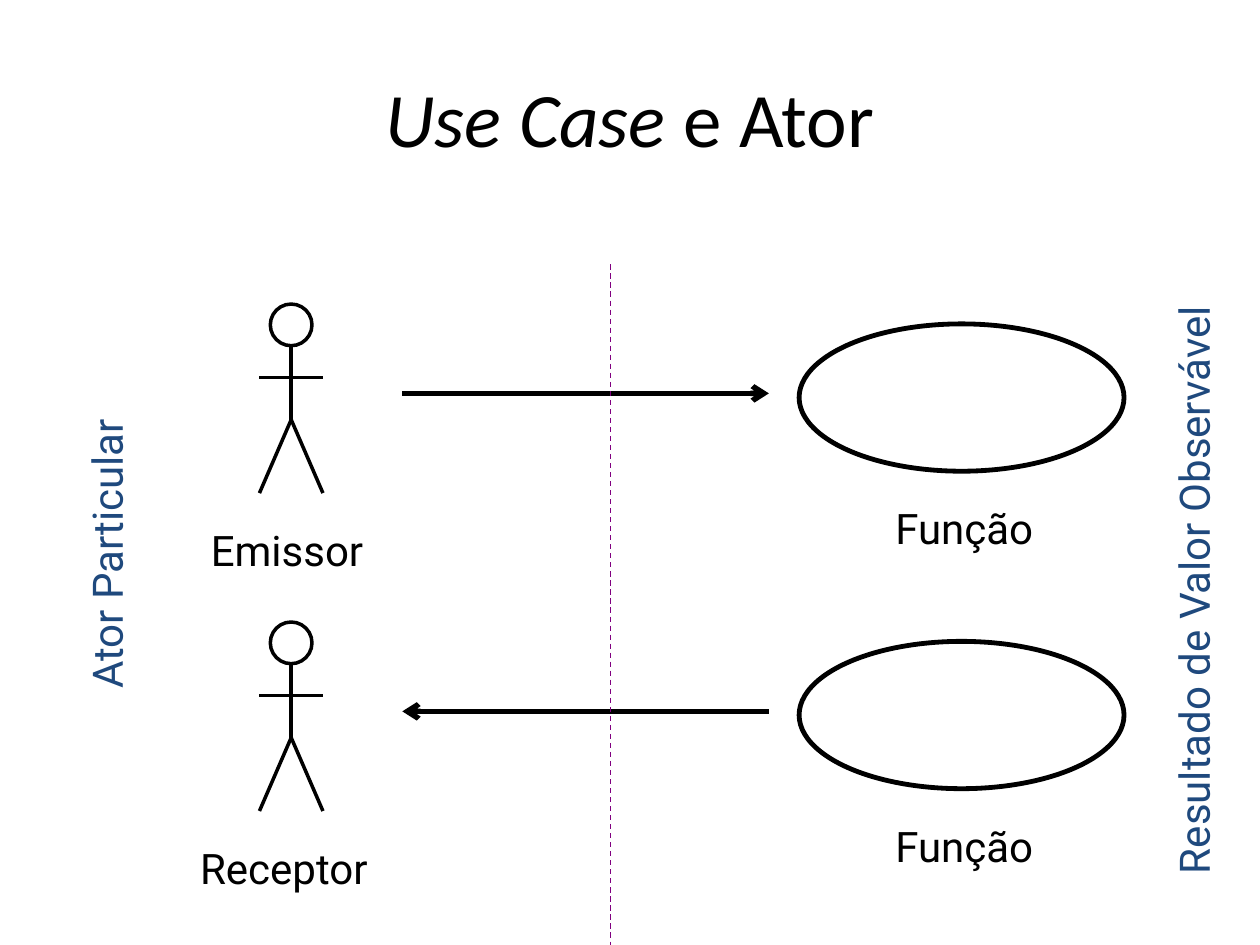
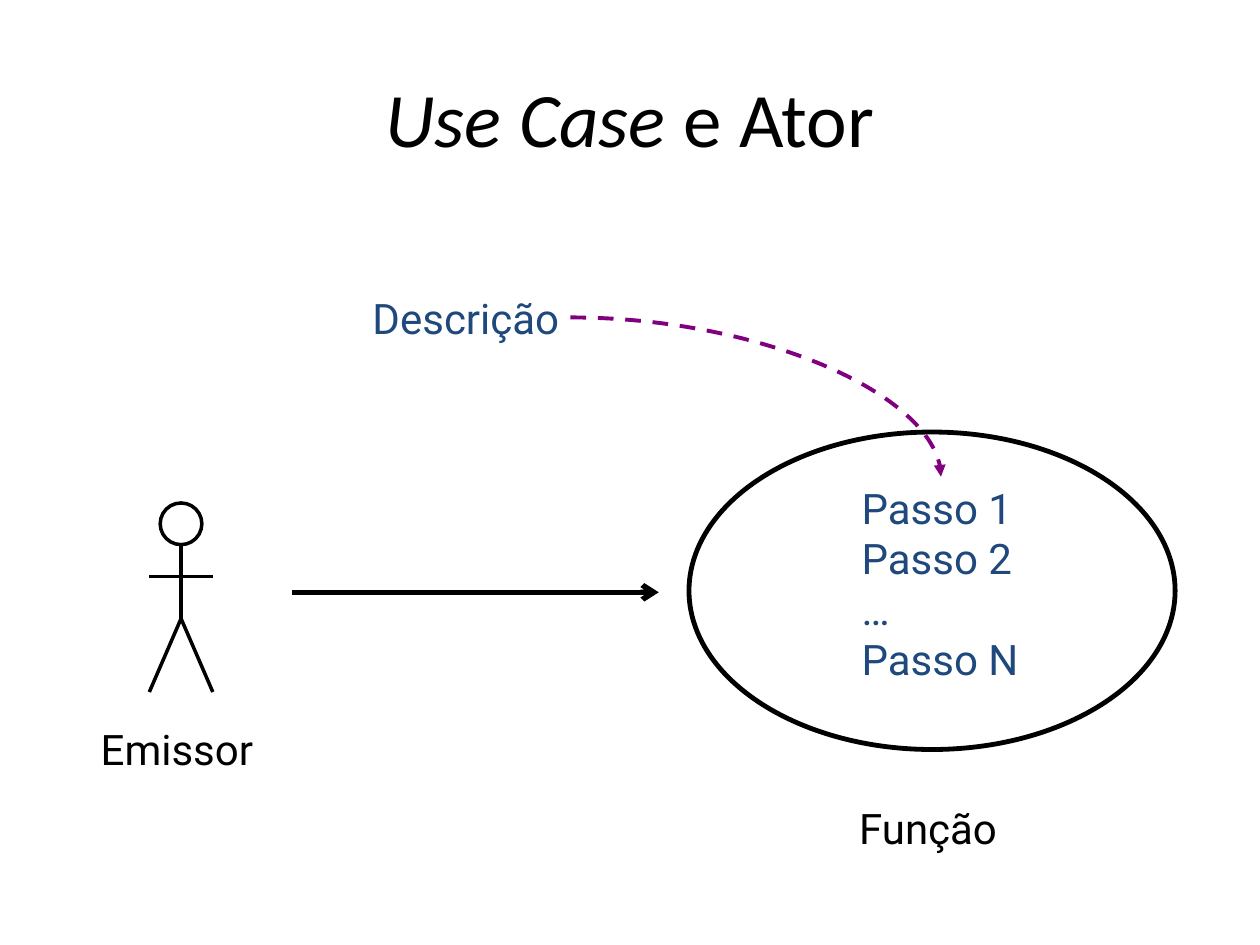
from lxml.etree import SubElement
from pptx import Presentation
from pptx.dml.color import RGBColor
from pptx.enum.dml import MSO_LINE
from pptx.enum.shapes import MSO_CONNECTOR, MSO_SHAPE
from pptx.enum.text import MSO_ANCHOR, MSO_AUTO_SIZE, PP_ALIGN
from pptx.oxml.ns import qn
from pptx.util import Cm, Pt

BLACK = "000000"
NAVY = "1F497D"
PURPLE = "800080"
LABEL_HEIGHT = 1.28


def add_label(shapes, text, left, top, width, height=LABEL_HEIGHT, colour=BLACK, align=PP_ALIGN.LEFT):
    label = shapes.add_textbox(Cm(left), Cm(top), Cm(width), Cm(height))
    text_frame = label.text_frame
    text_frame.word_wrap = False
    text_frame.auto_size = MSO_AUTO_SIZE.SHAPE_TO_FIT_TEXT
    text_frame.text = text
    for paragraph in text_frame.paragraphs:
        paragraph.alignment = align
        for run in paragraph.runs:
            run.font.name = "Roboto"
            run.font.size = Pt(24)
            run.font.color.rgb = RGBColor.from_string(colour)
    return label


def add_line(shapes, start, end, width=2, colour=BLACK, dash=None, ends=(), kind=MSO_CONNECTOR.STRAIGHT):
    x1, y1 = start
    x2, y2 = end
    connector = shapes.add_connector(kind, Cm(x1), Cm(y1), Cm(x2), Cm(y2))
    connector.line.color.rgb = RGBColor.from_string(colour)
    connector.line.width = Pt(width)
    if dash:
        connector.line.dash_style = dash
    properties = connector._element.spPr
    for tag, arrow in ends:
        SubElement(properties.find(qn("a:ln")), qn(tag), type=arrow)
    SubElement(properties, qn("a:effectLst"))
    return connector


presentation = Presentation()
presentation.slide_width = Cm(25.4)
presentation.slide_height = Cm(19.05)

slides = []
for number in range(2):
    slide = presentation.slides.add_slide(presentation.slide_layouts[5])
    title = slide.shapes.title
    title.left, title.top, title.width, title.height = Cm(1.27), Cm(0.76), Cm(22.86), Cm(3.18)
    title.text_frame.vertical_anchor = MSO_ANCHOR.MIDDLE
    paragraph = title.text_frame.paragraphs[0]
    paragraph.alignment = PP_ALIGN.CENTER
    for text, italic in (("Use Case", True), (" e Ator", False)):
        run = paragraph.add_run()
        run.text = text
        run.font.name = "Calibri"
        run.font.size = Pt(44)
        run.font.italic = italic
        run.font.color.rgb = RGBColor.from_string(BLACK)
    slides.append(slide)
overview, detail = slides

interactions = [
    (overview, "Emissor", 3.66, 5.87, 6.13, "a:tailEnd", (6.53, 6.55, 2.97), (19.44, 10.01)),
    (overview, "Receptor", 4.09, 5.87, 12.54, "a:headEnd", (12.93, 6.55, 2.97), (19.44, 16.41)),
    (detail, "Emissor", 3.66, 3.65, 10.14, "a:tailEnd", (8.71, 9.8, 6.4), (18.71, 16.05)),
]
for slide, name, name_width, actor_x, actor_top, arrow_end, use_case, function_at in interactions:
    shapes = slide.shapes
    use_case_top, use_case_width, use_case_height = use_case
    ellipse = shapes.add_shape(MSO_SHAPE.OVAL, Cm(actor_x + 10.24), Cm(use_case_top),
                               Cm(use_case_width), Cm(use_case_height))
    actor = shapes.add_group_shape()
    head = actor.shapes.add_shape(MSO_SHAPE.OVAL, Cm(actor_x - 0.42), Cm(actor_top), Cm(0.84), Cm(0.84))
    for shape, width in ((ellipse, 2.75), (head, 2)):
        shape.shadow.inherit = False
        shape.fill.background()
        shape.line.color.rgb = RGBColor.from_string(BLACK)
        shape.line.width = Pt(width)

    neck = (actor_x, actor_top + 0.84)
    hip = (actor_x, actor_top + 2.33)
    left_hand, right_hand = [(actor_x + reach, actor_top + 1.48) for reach in (-0.64, 0.64)]
    left_foot, right_foot = [(actor_x + reach, actor_top + 3.81) for reach in (-0.64, 0.64)]
    for start, end in ((hip, neck), (left_foot, hip), (right_foot, hip), (left_hand, right_hand)):
        add_line(actor.shapes, start, end)

    add_label(shapes, name, actor_x - 0.04 - name_width / 2, actor_top + 4.32, name_width)
    function_x, function_top = function_at
    add_label(shapes, "Função", function_x - 1.69, function_top, 3.38, align=PP_ALIGN.CENTER)
    arrow_y = actor_top + 1.8
    add_line(shapes, (actor_x + 2.24, arrow_y), (actor_x + 9.63, arrow_y), 3, ends=[(arrow_end, "arrow")])

for text, left, top, width in (("Ator Particular", -0.99, 10.36, 6.27),
                               ("Resultado de Valor Observável", 17.75, 10.92, 12.62)):
    side_label = add_label(overview.shapes, text, left, top, width, colour=NAVY)
    side_label.rotation = 270
add_line(overview.shapes, (12.3, 5.33), (12.3, 19.05), 0.75, PURPLE, MSO_LINE.DASH)

add_label(detail.shapes, "Passo 1\nPasso 2\n…\nPasso N", 17.12, 9.6, 3.68, 4.32, NAVY)
add_label(detail.shapes, "Descrição", 7.26, 5.77, 4.37, colour=NAVY)
description_arrow = add_line(detail.shapes, (11.5, 6.4), (18.97, 9.61), 2.25, PURPLE, MSO_LINE.DASH,
                             [("a:tailEnd", "triangle")], MSO_CONNECTOR.CURVE)
description_arrow._element.spPr.find(qn("a:prstGeom")).set("prst", "curvedConnector2")

presentation.save("out.pptx")
